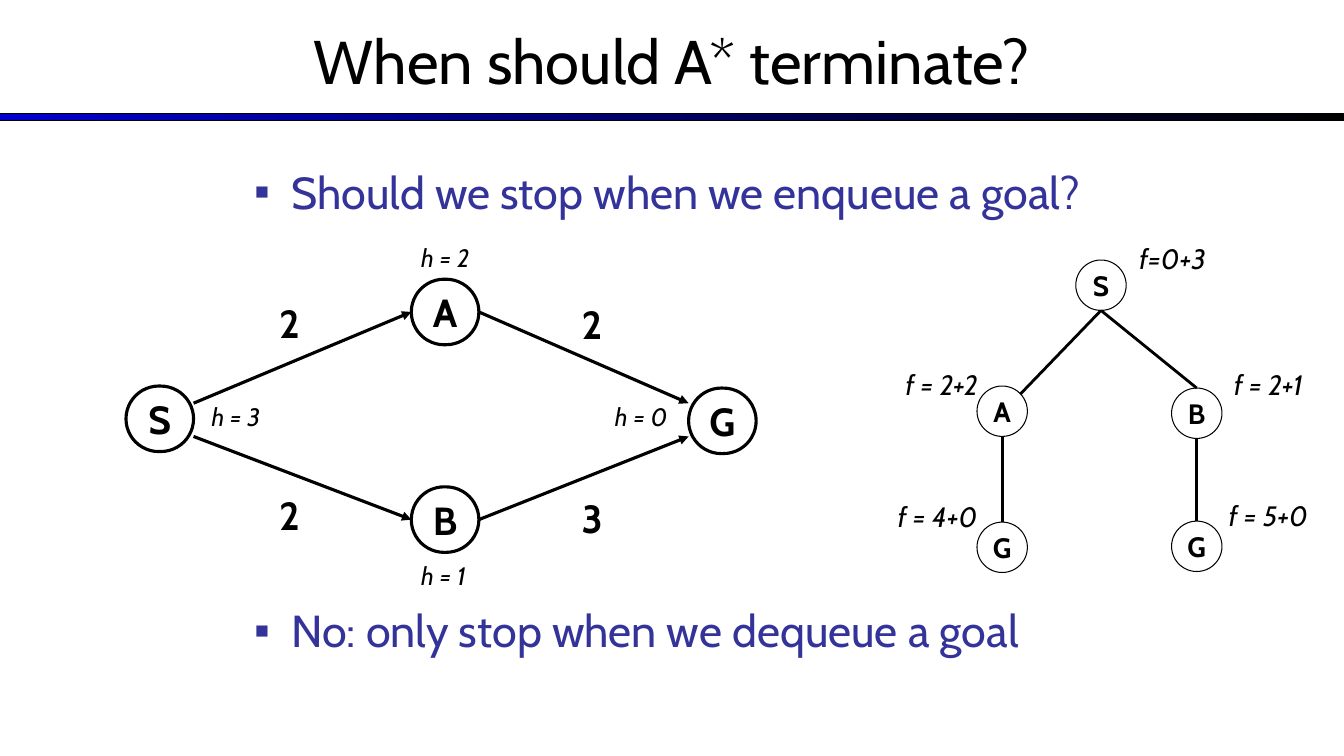
from pptx import Presentation
from pptx.dml.color import RGBColor
from pptx.enum.shapes import MSO_CONNECTOR as Conn, MSO_SHAPE as Shape
from pptx.enum.text import MSO_ANCHOR as Anchor, MSO_AUTO_SIZE as Fit, PP_ALIGN as Align
from pptx.oxml import parse_xml
from pptx.oxml.ns import nsdecls
from pptx.util import Inches, Pt

BLACK = RGBColor(0, 0, 0)
WHITE = RGBColor(0xFF, 0xFF, 0xFF)
BAR_BLUE = RGBColor(0, 0, 0xCC)
BODY_BLUE = RGBColor(0x33, 0x33, 0x99)
TOP, LEFT, BOTTOM, RIGHT = range(4)


class SlideBuilder:
    FONT = "Cabin"

    def __init__(self, slide):
        self.s = slide

    def add_text(self, p, text, size, color=BLACK, align=Align.LEFT, **style):
        p.alignment = align
        r = p.add_run()
        r.text = text
        r.font.color.rgb = color
        for name, value in {"name": self.FONT, "size": Pt(size), **style}.items():
            setattr(r.font, name, value)

    def place(self, sp, box):
        for name, value in zip(("left", "top", "width", "height"), box):
            setattr(sp, name, Inches(value))

    def title(self, text, box):
        sp = self.s.shapes.title
        self.place(sp, box)
        tf = sp.text_frame
        tf.auto_size, tf.vertical_anchor = Fit.NONE, Anchor.MIDDLE
        self.add_text(tf.paragraphs[0], text, 44, align=Align.CENTER)

    def bullets(self, items, box, gap):
        sp = self.s.placeholders[1]
        self.place(sp, box)
        tf = sp.text_frame
        tf.auto_size = Fit.NONE
        for i, text in enumerate(items):
            p = tf.add_paragraph() if i else tf.paragraphs[0]
            pPr = p._p.get_or_add_pPr()
            pPr.set("marL", str(Inches(0.37)))
            pPr.set("indent", str(-Inches(0.37)))
            for tag in (f'buClr {nsdecls("a")}><a:srgbClr val="{BODY_BLUE}"/></a:buClr',
                        f'buChar {nsdecls("a")} char="▪"/'):
                pPr.append(parse_xml(f"<a:{tag}>"))
            p.space_before = Pt(gap if i else 0)
            self.add_text(p, text, 32, BODY_BLUE)

    def bar(self, box):
        sp = self.s.shapes.add_shape(Shape.RECTANGLE, *map(Inches, box))
        sp.shadow.inherit = False
        sp.fill.gradient()
        sp.fill.gradient_angle = 0
        for stop, color in zip(sp.fill.gradient_stops, (BAR_BLUE, BLACK)):
            stop.color.rgb = color
        sp.line.color.rgb, sp.line.width = BLACK, Pt(0.75)

    def node(self, kind, text, box, size, weight):
        sp = self.s.shapes.add_shape(kind, *map(Inches, box))
        sp.shadow.inherit = False
        if kind == Shape.ROUNDED_RECTANGLE:
            sp.adjustments[0] = 0.5
            sp.fill.background()
        else:
            sp.fill.solid()
            sp.fill.fore_color.rgb = WHITE
        sp.line.color.rgb, sp.line.width = BLACK, Pt(weight)
        tf = sp.text_frame
        tf.word_wrap, tf.vertical_anchor = False, Anchor.MIDDLE
        self.add_text(tf.paragraphs[0], text, size, align=Align.CENTER, bold=True)
        return sp

    def graph_node(self, text, x, y):
        return self.node(Shape.ROUNDED_RECTANGLE, text, (x, y, 0.67, 0.65), 28, 2.25)

    def tree_node(self, text, x, y):
        return self.node(Shape.OVAL, text, (x, y, 0.5, 0.5), 20, 0.75)

    def edge(self, start, end, weight, begin=None, finish=None, arrow=False):
        """Draw a line; begin and finish are optional (shape, site) joins."""
        c = self.s.shapes.add_connector(Conn.STRAIGHT, *map(Inches, (*start, *end)))
        if begin:
            c.begin_connect(*begin)
        if finish:
            c.end_connect(*finish)
        c.line.color.rgb, c.line.width = BLACK, Pt(weight)
        if arrow:
            c.get_or_add_ln().append(
                parse_xml(f'<a:tailEnd {nsdecls("a")} type="triangle"/>'))
        c._element.spPr.append(parse_xml(f'<a:effectLst {nsdecls("a")}/>'))

    def label(self, text, box, size, align=Align.LEFT, **style):
        tf = self.s.shapes.add_textbox(*map(Inches, box)).text_frame
        tf.word_wrap, tf.auto_size = True, Fit.SHAPE_TO_FIT_TEXT
        self.add_text(tf.paragraphs[0], text, size, align=align, **style)


def draw_graph(b):
    b.graph_node("S", 1.25, 3.83)
    node_b = b.graph_node("B", 4.08, 4.83)
    node_a = b.graph_node("A", 4.08, 2.77)
    b.graph_node("G", 6.83, 3.85)
    for node, y, y_outer in ((node_a, 3.08, 4), (node_b, 5.17, 4.33)):
        b.edge((1.92, y_outer), (4.08, y), 2.25, finish=(node, LEFT), arrow=True)
        b.edge((4.75, y), (6.83, y_outer), 2.25, begin=(node, RIGHT), arrow=True)
    for cost, x, y in (("2", 2.67, 2.92), ("3", 5.67, 4.85),
                       ("2", 5.67, 2.93), ("2", 2.67, 4.83)):
        b.label(cost, (x, y, 0.5, 0.57), 28, bold=True)
    for h, x, y in ((1, 4.08, 5.51), (2, 4.08, 2.35), (0, 6, 3.93), (3, 2, 3.93)):
        b.label(f"h = {h}", (x, y, 1, 0.4), 18, italic=True)


def draw_search_tree(b):
    b.tree_node("S", 10.67, 2.58)
    b.tree_node("A", 9.69, 3.83)
    goal_a = b.tree_node("G", 9.69, 5.18)
    node_b = b.tree_node("B", 11.62, 3.85)
    goal_b = b.tree_node("G", 11.62, 5.17)
    root = (10.92, 3.08)
    b.edge(root, (10.12, 3.91), 2)
    b.edge(root, (11.87, 3.85), 2, finish=(node_b, TOP))
    b.edge((9.94, 4.33), (9.94, 5.18), 2, finish=(goal_a, TOP))
    b.edge((11.87, 4.35), (11.87, 5.17), 2, finish=(goal_b, TOP))
    for text, x, y, w in (("f=0+3", 11.17, 2.35, 0.92), ("f = 2+2", 8.8, 3.6, 1.08),
                          ("f = 2+1", 12.04, 3.6, 1.08), ("f = 4+0", 8.8, 4.91, 1),
                          ("f = 5+0", 12.08, 4.9, 1)):
        b.label(text, (x, y, w, 0.44), 20, Align.CENTER, italic=True)


def main():
    prs = Presentation()
    prs.slide_width, prs.slide_height = Inches(13.33), Inches(7.5)
    b = SlideBuilder(prs.slides.add_slide(prs.slide_layouts[1]))
    b.bar((0, 1.13, 13.33, 0.07))
    b.title("When should A* terminate?", (0, -0.03, 13.33, 1.25))
    b.bullets(("Should we stop when we enqueue a goal?",
               "No: only stop when we dequeue a goal"), (2.42, 1.58, 10.64, 4.49), 275)
    draw_graph(b)
    draw_search_tree(b)
    prs.save("out.pptx")


if __name__ == "__main__":
    main()
